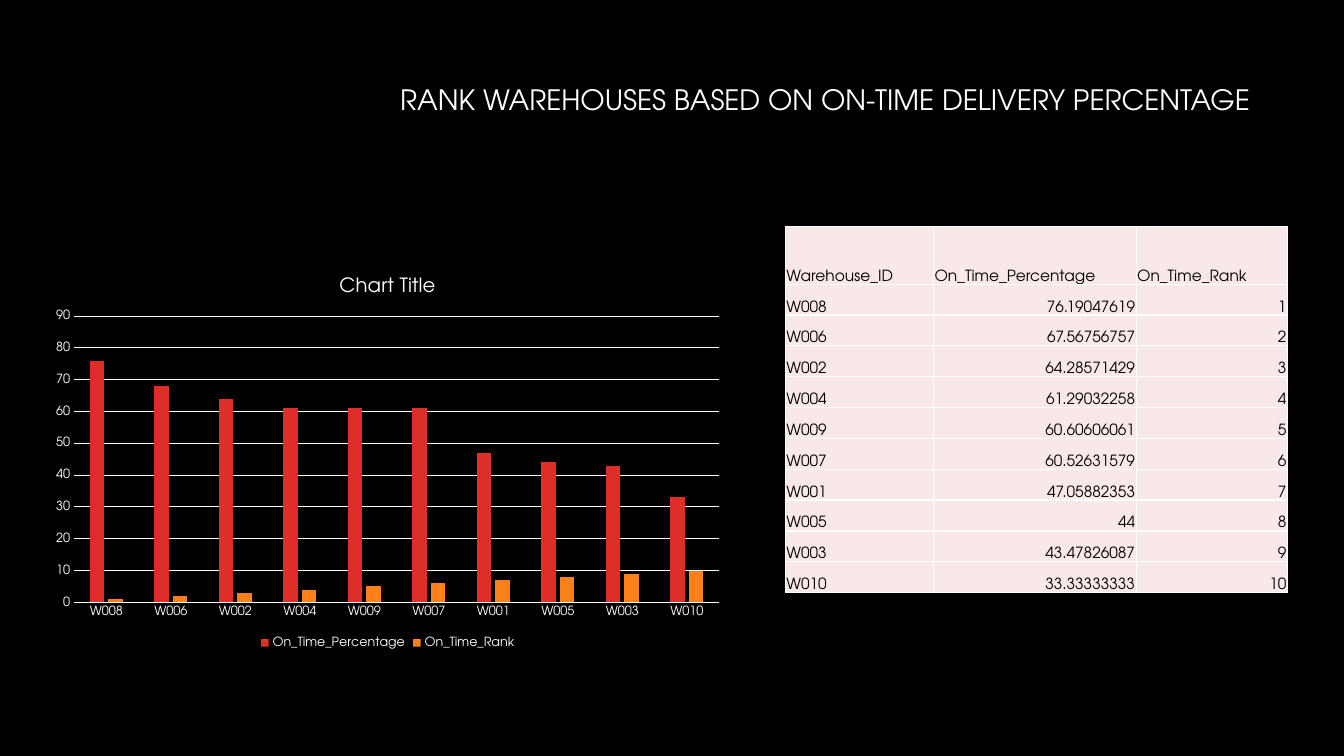
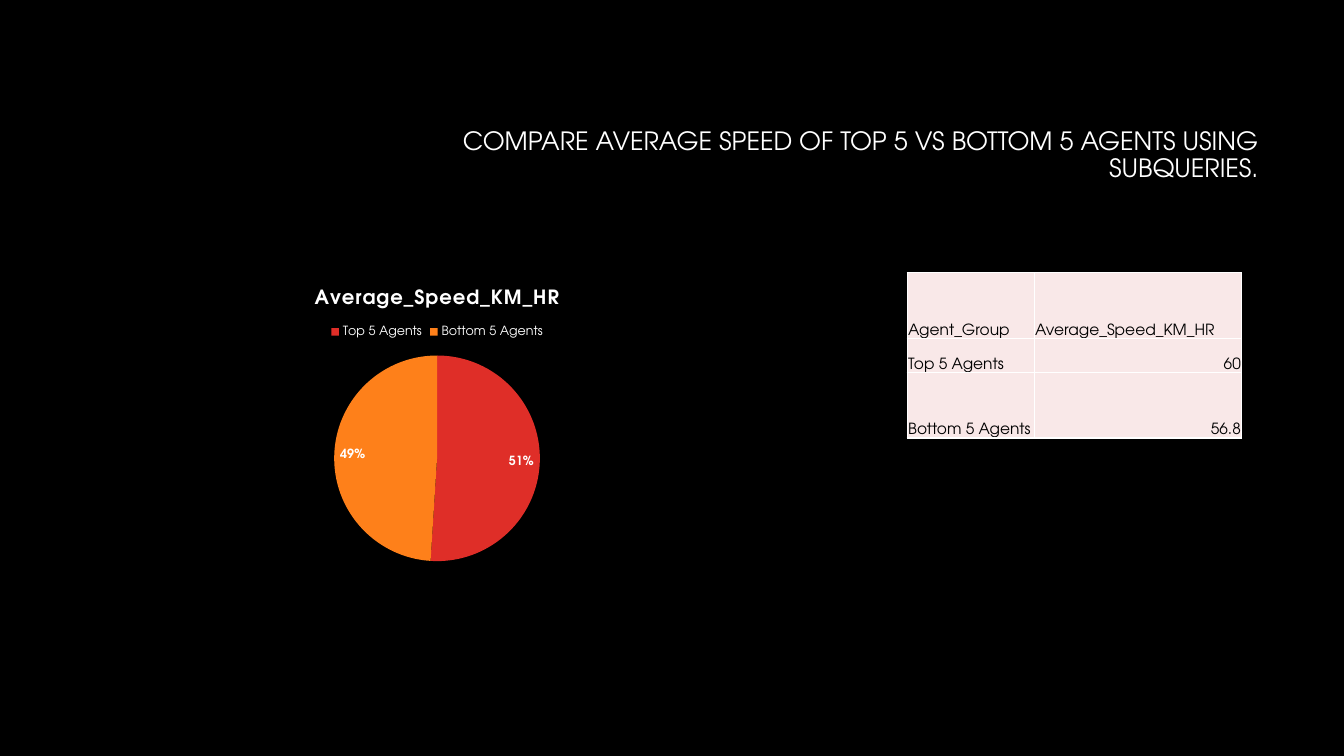
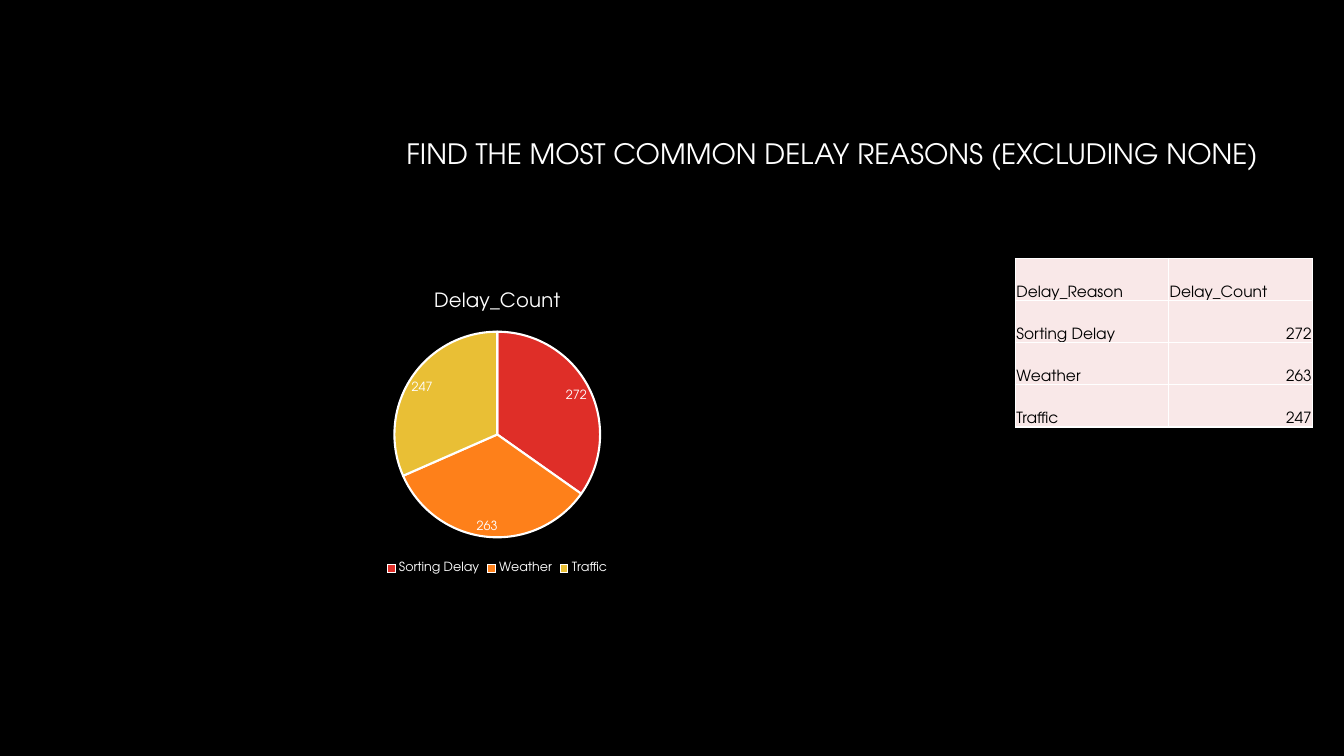
from dataclasses import dataclass

from lxml import etree
from pptx import Presentation
from pptx import util as u
from pptx.chart import data as chart_data
from pptx.dml.color import RGBColor
from pptx.enum import chart as charts, text
from pptx.oxml.ns import qn


@dataclass(frozen=True)
class Theme:
    font: str = "TeX Gyre Adventor"
    background: str = "000000"
    light: str = "FFFFFF"
    dark: str = "000000"
    cell: str = "F9E8E8"
    accents: tuple = ("DF2E28", "FE801A", "E9BF35")
    title: int = 20
    long_title: int = 18
    chart_title: int = 14
    chart: int = 10
    label: int = 9
    table: int = 11
    grid_line: float = 0.75
    slice_line: float = 1.5
    border: float = 1


THEME = Theme()
WIDTH, HEIGHT = u.Inches(13.33), u.Inches(7.5)
LEGEND = charts.XL_LEGEND_POSITION
LABEL = charts.XL_LABEL_POSITION

WAREHOUSES = [
    ("Warehouse_ID", "On_Time_Percentage", "On_Time_Rank"),
    ("W008", 76.19047619, 1),
    ("W006", 67.56756757, 2),
    ("W002", 64.28571429, 3),
    ("W004", 61.29032258, 4),
    ("W009", 60.60606061, 5),
    ("W007", 60.52631579, 6),
    ("W001", 47.05882353, 7),
    ("W005", 44, 8),
    ("W003", 43.47826087, 9),
    ("W010", 33.33333333, 10),
]
SPEEDS = [
    ("Agent_Group", "Average_Speed_KM_HR"),
    ("Top 5 Agents", 60),
    ("Bottom 5 Agents", 56.8),
]
DELAYS = [
    ("Delay_Reason", "Delay_Count"),
    ("Sorting Delay", 272),
    ("Weather", 263),
    ("Traffic", 247),
]


def across(percent):
    return u.Emu(round(WIDTH * percent / 100))


def down(percent):
    return u.Emu(round(HEIGHT * percent / 100))


def area(left, top, width, height):
    return across(left), down(top), across(width), down(height)


def color(value):
    return RGBColor.from_string(value)


def style_font(font, size, tint=THEME.light, bold=False):
    font.name = THEME.font
    font.size = u.Pt(size)
    font.bold = bold
    font.color.rgb = color(tint)


def paint(item, tint):
    item.fill.solid()
    item.fill.fore_color.rgb = color(tint)


def draw_line(line, width):
    line.color.rgb = color(THEME.light)
    line.width = u.Pt(width)


def add_page(deck, title, left, top, size=THEME.title, bottom=0.7):
    page = deck.slides.add_slide(deck.slide_layouts[5])
    box = page.shapes.title
    box.left, box.top, box.width, box.height = area(left, top, 70.67, 18.8)
    frame = box.text_frame
    frame.word_wrap = True
    frame.auto_size = text.MSO_AUTO_SIZE.NONE
    frame.vertical_anchor = text.MSO_ANCHOR.MIDDLE
    frame.margin_bottom = down(bottom)
    para = frame.paragraphs[0]
    para.alignment = text.PP_ALIGN.RIGHT
    para.line_spacing = 0.9
    span = para.add_run()
    span.text = title
    style_font(span.font, size)
    return page


def add_borders(cell):
    properties = cell._tc.get_or_add_tcPr()
    for side in ("a:lnL", "a:lnR", "a:lnT", "a:lnB"):
        line = etree.SubElement(properties, qn(side), w=str(u.Pt(THEME.border)))
        fill = etree.SubElement(line, qn("a:solidFill"))
        etree.SubElement(fill, qn("a:srgbClr"), val=THEME.light)


def fill_cell(cell, value):
    add_borders(cell)
    paint(cell, THEME.cell)
    cell.vertical_anchor = text.MSO_ANCHOR.BOTTOM
    cell.margin_left = cell.margin_right = cell.margin_top = u.Inches(0.01)
    cell.margin_bottom = 0
    para = cell.text_frame.paragraphs[0]
    if not isinstance(value, str):
        para.alignment = text.PP_ALIGN.RIGHT
    span = para.add_run()
    span.text = str(value)
    style_font(span.font, THEME.table, THEME.dark)


def add_data_table(page, records, left, top, widths, heights):
    place = area(left, top, sum(widths), sum(heights))
    table = page.shapes.add_table(len(records), len(widths), *place).table
    table.first_row = table.horz_banding = False
    for column, width in zip(table.columns, widths):
        column.width = across(width)
    for row, height, record in zip(table.rows, heights, records):
        row.height = down(height)
        for cell, value in zip(row.cells, record):
            fill_cell(cell, value)


def percent_shares(records):
    names, *rows = records
    total = sum(value for _, value in rows)
    return [names] + [(label, 100 * value / total) for label, value in rows]


def add_data_chart(page, kind, records, place, title, legend, bold=False):
    names, *rows = records
    data = chart_data.CategoryChartData()
    data.categories = [row[0] for row in rows]
    for index, name in enumerate(names[1:], 1):
        data.add_series(name, [round(row[index]) for row in rows])
    chart = page.shapes.add_chart(kind, *area(*place), data).chart
    style_font(chart.font, THEME.chart)
    chart.has_title = True
    span = chart.chart_title.text_frame.paragraphs[0].add_run()
    span.text = title
    style_font(span.font, THEME.chart_title, bold=bold)
    if bold:
        span.font._element.set("spc", "50")
    chart.chart_title.include_in_layout = False
    chart.has_legend = True
    chart.legend.position = legend
    chart.legend.include_in_layout = False
    style_font(chart.legend.font, THEME.label)
    return chart


def add_columns(page, records, place, title):
    kind = charts.XL_CHART_TYPE.COLUMN_CLUSTERED
    chart = add_data_chart(page, kind, records, place, title, LEGEND.BOTTOM)
    plot = chart.plots[0]
    plot.vary_by_categories = False
    plot.gap_width, plot.overlap = 219, -27
    for series, tint in zip(plot.series, THEME.accents):
        paint(series.format, tint)
    for axis in (chart.category_axis, chart.value_axis):
        axis.major_tick_mark = axis.minor_tick_mark = charts.XL_TICK_MARK.NONE
        style_font(axis.tick_labels.font, THEME.label)
    draw_line(chart.category_axis.format.line, THEME.grid_line)
    scale = chart.value_axis
    scale.minimum_scale, scale.maximum_scale, scale.major_unit = 0, 90, 10
    scale.tick_labels.number_format = "0"
    scale.tick_labels.number_format_is_linked = False
    scale.format.line.fill.background()
    draw_line(scale.major_gridlines.format.line, THEME.grid_line)


def add_pie(page, records, place, legend, position, percent=False, outline=False):
    kind = charts.XL_CHART_TYPE.PIE
    chart = add_data_chart(page, kind, records, place, records[0][1], legend, percent)
    plot = chart.plots[0]
    plot.vary_by_categories = True
    for index, tint in enumerate(THEME.accents[:len(records) - 1]):
        piece = plot.series[0].points[index].format
        paint(piece, tint)
        if outline:
            draw_line(piece.line, THEME.slice_line)
        else:
            piece.line.fill.background()
    plot.has_data_labels = True
    labels = plot.data_labels
    labels.show_percentage, labels.show_value = percent, not percent
    labels.number_format = "0%" if percent else "0"
    labels.number_format_is_linked = False
    labels.position = position
    style_font(labels.font, THEME.label, bold=percent)


def main():
    deck = Presentation()
    deck.slide_width, deck.slide_height = WIDTH, HEIGHT
    paint(deck.slide_master.background, THEME.background)

    page = add_page(deck, "RANK WAREHOUSES BASED ON ON-TIME DELIVERY PERCENTAGE",
                    23.12, 8.4, bottom=9.45)
    add_data_table(page, WAREHOUSES, 58.43, 30, (11.03, 15.08, 11.25),
                   [7.6] + [4.08] * 10)
    add_columns(page, WAREHOUSES, (3.15, 34.2, 51.38, 52.13), "Chart Title")

    page = add_page(
        deck, "COMPARE AVERAGE SPEED OF TOP 5 VS BOTTOM 5 AGENTS USING SUBQUERIES.",
        23.72, 11.2, THEME.long_title)
    add_data_table(page, SPEEDS, 67.5, 36.07, (9.45, 15.45), (8.67, 4.53, 8.67))
    add_pie(page, percent_shares(SPEEDS), (13.77, 36.07, 37.5, 40), LEGEND.TOP,
            LABEL.INSIDE_END, percent=True)

    page = add_page(deck, "FIND THE MOST COMMON DELAY REASONS (EXCLUDING NONE)",
                    23.72, 11.2)
    add_data_table(page, DELAYS, 75.55, 34.2, (11.4, 10.73), [5.57] * 4)
    add_pie(page, DELAYS, (18.25, 36.47, 37.5, 40), LEGEND.BOTTOM,
            LABEL.BEST_FIT, outline=True)

    deck.save("out.pptx")


if __name__ == "__main__":
    main()
